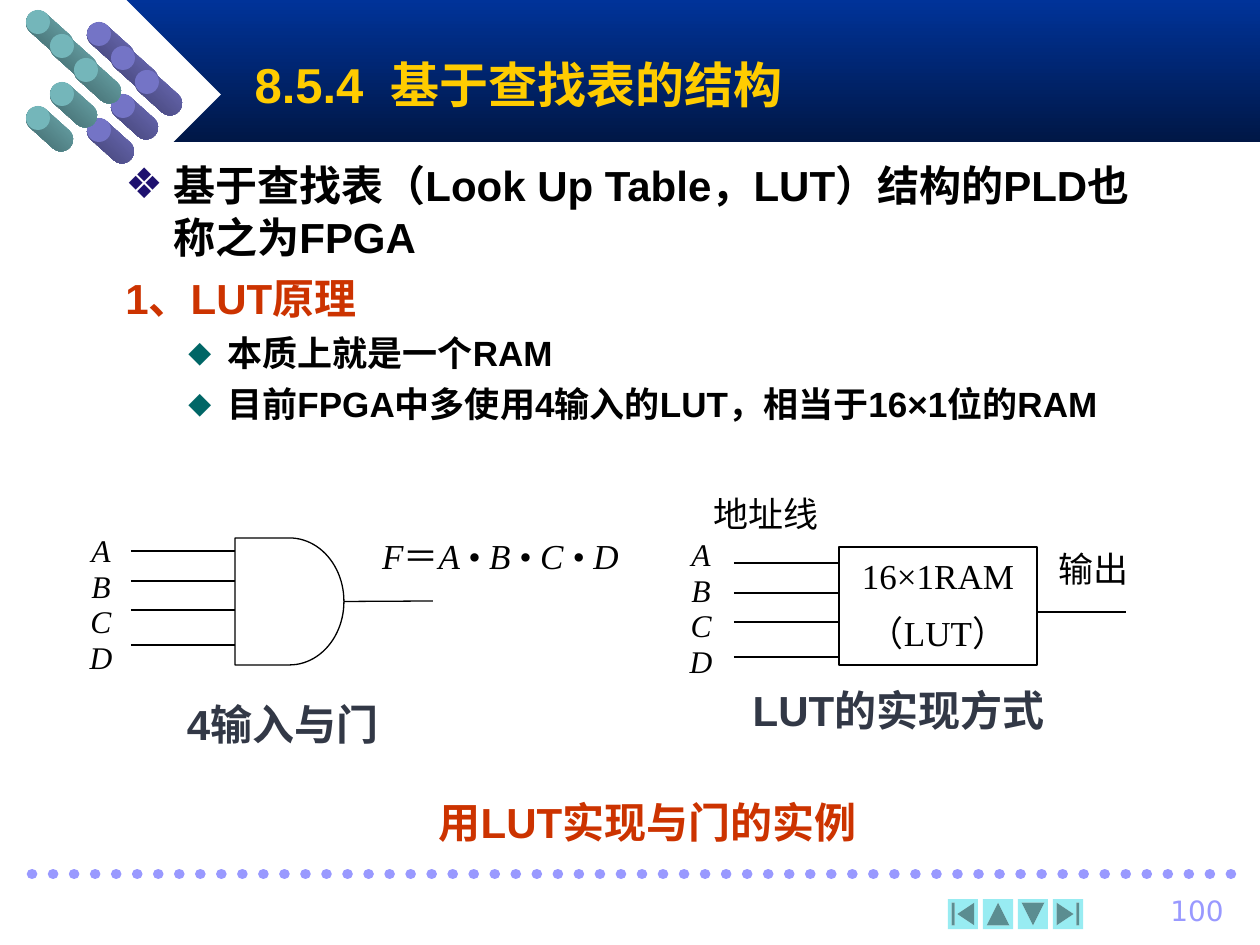
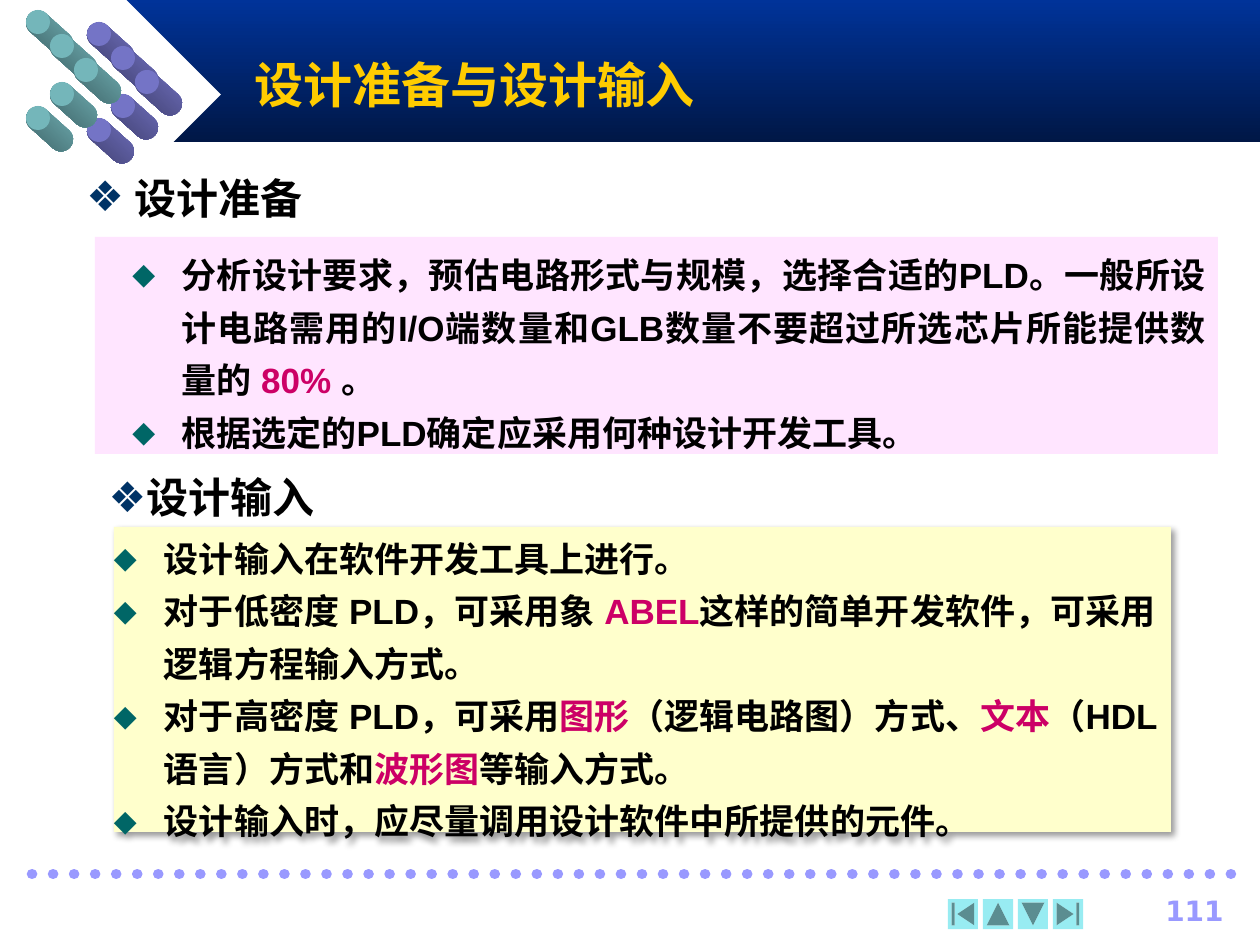
from dataclasses import dataclass, field
from typing import Any, Optional

import pptx
import pptx.dml.color
import pptx.enum.dml
import pptx.enum.shapes
import pptx.enum.text
import pptx.oxml
import pptx.oxml.ns
import pptx.util
from lxml import etree

RGB = pptx.dml.color.RGBColor
SHAPE = pptx.enum.shapes.MSO_SHAPE
ALIGN = pptx.enum.text.PP_ALIGN
ANCHOR = pptx.enum.text.MSO_ANCHOR
qn = pptx.oxml.ns.qn

EMU_PER_PX = 914400 / 126
WHITE = RGB(0xFF, 0xFF, 0xFF)
BLACK = RGB(0, 0, 0)
BAND_TOP = RGB(0x00, 0x33, 0x99)
BAND_BOTTOM = RGB(0x00, 0x17, 0x46)
GOLD = RGB(0xFF, 0xCC, 0x00)
LILAC = RGB(0x99, 0x99, 0xFF)
AQUA = RGB(0x98, 0xEC, 0xF2)
TEAL_FACE = RGB(0x74, 0xB6, 0xBA)
TEAL_SHADE = RGB(0x3A, 0x5C, 0x60)
VIOLET_FACE = RGB(0x74, 0x74, 0xC6)
VIOLET_SHADE = RGB(0x3C, 0x3C, 0x68)
INDIGO = RGB(0x1E, 0x11, 0x6F)
NAVY = RGB(0x00, 0x33, 0x66)
GREEN = RGB(0x00, 0x66, 0x66)
RUST = RGB(0xCC, 0x33, 0x00)
MAGENTA = RGB(0xCC, 0x00, 0x66)
SLATE = RGB(0x32, 0x38, 0x46)
PINK = RGB(0xFF, 0xE5, 0xFF)
CREAM = RGB(0xFF, 0xFF, 0xCC)
SANS, SERIF, SYMBOL = "Arial", "Times New Roman", "DejaVu Sans"


@dataclass(frozen=True)
class Bullet:
    char: str
    color: RGB
    percent: int = 100


@dataclass(frozen=True)
class Run:
    text: str
    look: dict[str, Any] = field(default_factory=dict)


@dataclass(frozen=True)
class Para:
    runs: list[Run]
    look: dict[str, Any]
    align: Any = ALIGN.LEFT
    spacing: float = 1.0
    before: int = 0
    margin: int = 0
    hanging: int = 0
    bullet: Optional[Bullet] = None


@dataclass(frozen=True)
class Frame:
    left: int
    top: int
    width: int
    height: int

    def emu(self) -> list[int]:
        return [px(v) for v in (self.left, self.top, self.width, self.height)]


@dataclass(frozen=True)
class Pegs:
    face: RGB
    shade: RGB
    left: int
    top: int


@dataclass(frozen=True)
class Label:
    frame: Frame
    runs: list[Run]
    look: dict[str, Any]


def px(value: float) -> int:
    return round(value * EMU_PER_PX)


def apply(target: Any, values: dict[str, Any]) -> None:
    for name, value in values.items():
        setattr(target, name, value)


def look(size: int, color: RGB = BLACK, name: str = SANS, **extra: Any) -> dict[str, Any]:
    return {"size": pptx.util.Pt(size), "name": name, "color": color, **extra}


def child(parent: Any, tag: str, **attributes: Any) -> Any:
    node = etree.SubElement(parent, qn(tag))
    for name, value in attributes.items():
        node.set(name, str(value))
    return node


def write_run(paragraph: Any, text: str, values: dict[str, Any]) -> None:
    run = paragraph.add_run()
    run.text = text
    run.font.color.rgb = values["color"]
    apply(run.font, {k: v for k, v in values.items() if k != "color"})
    properties = run._r.get_or_add_rPr()
    properties.set("lang", "zh-CN")
    child(properties, "a:ea", typeface=SANS)


def write(holder: Any, paras: list[Para], inset: Optional[int] = None, anchor: Any = ANCHOR.TOP) -> None:
    frame = holder.text_frame
    apply(frame, {"word_wrap": True, "vertical_anchor": anchor})
    if inset is not None:
        sides = ("left", "top", "right", "bottom")
        apply(frame, {f"margin_{side}": px(inset) for side in sides})
    for index, para in enumerate(paras):
        paragraph = frame.add_paragraph() if index else frame.paragraphs[0]
        properties = paragraph._p.get_or_add_pPr()
        properties.set("marL", str(px(para.margin)))
        properties.set("indent", str(-px(para.hanging)))
        if para.bullet:
            child(child(properties, "a:buClr"), "a:srgbClr", val=para.bullet.color)
            child(properties, "a:buSzPct", val=para.bullet.percent * 1000)
            child(properties, "a:buFont", typeface=SYMBOL)
            child(properties, "a:buChar", char=para.bullet.char)
        else:
            child(properties, "a:buNone")
        apply(paragraph, {
            "alignment": para.align,
            "line_spacing": para.spacing,
            "space_before": pptx.util.Pt(para.before if index else 0),
        })
        for run in para.runs:
            write_run(paragraph, run.text, {**para.look, **run.look})


def add_text(slide: Any, frame: Frame, paras: list[Para], inset: Optional[int] = None) -> None:
    write(slide.shapes.add_textbox(*frame.emu()), paras, inset)


def add_block(slide: Any, kind: Any, frame: Frame, fill: Optional[RGB] = None, outline: Optional[RGB] = None) -> Any:
    block = slide.shapes.add_shape(kind, *frame.emu())
    block.shadow.inherit = False
    if fill is None:
        block.fill.background()
    else:
        block.fill.solid()
        block.fill.fore_color.rgb = fill
    if outline is None:
        block.line.fill.background()
    else:
        block.line.color.rgb = outline
        block.line.width = pptx.util.Pt(0.75)
    return block


def add_gradient(block: Any, start: RGB, end: RGB) -> None:
    block.fill.gradient()
    block.fill.gradient_angle = 270
    for stop, color, position in zip(block.fill.gradient_stops, (start, end), (0, 1)):
        stop.color.rgb = color
        stop.position = position


def add_wire(slide: Any, x1: int, y1: int, x2: int, y2: int, color: RGB = BLACK, width: float = 0.75) -> Any:
    wire = slide.shapes.add_connector(pptx.enum.shapes.MSO_CONNECTOR.STRAIGHT, *map(px, (x1, y1, x2, y2)))
    wire.line.color.rgb = color
    wire.line.width = pptx.util.Pt(width)
    child(wire._element.spPr, "a:effectLst")
    return wire


def draw_pegs(slide: Any, pegs: Pegs) -> None:
    step, size = 24, 24
    for row, column in enumerate((0, 1, 2, 1, 0)):
        left, top = pegs.left + column * step, pegs.top + row * step
        body = add_block(slide, SHAPE.ROUNDED_RECTANGLE, Frame(left - 4, top + 11, 55, size), pegs.face)
        body.adjustments[0] = 0.5
        body.rotation = 42
        add_gradient(body, pegs.face, pegs.shade)
        add_block(slide, SHAPE.OVAL, Frame(left, top, size, size), pegs.face)


def start_slide(deck: Any, heading: str, page: str, page_bold: bool) -> Any:
    slide = deck.slides.add_slide(deck.slide_layouts[5])
    band = add_block(slide, SHAPE.RECTANGLE, Frame(126, 0, 1134, 142), BAND_TOP)
    add_gradient(band, BAND_TOP, BAND_BOTTOM)
    add_block(slide, SHAPE.DIAMOND, Frame(32, 0, 189, 189), WHITE)
    for pegs in (Pegs(VIOLET_FACE, VIOLET_SHADE, 87, 22), Pegs(TEAL_FACE, TEAL_SHADE, 26, 10)):
        draw_pegs(slide, pegs)

    dots = add_wire(slide, 32, 874, 1239, 874, LILAC, 6)
    dots.line.dash_style = pptx.enum.dml.MSO_LINE.ROUND_DOT
    dots.line._ln.set("cap", "rnd")

    buttons = (
        (SHAPE.ACTION_BUTTON_BEGINNING, 0),
        (SHAPE.ACTION_BUTTON_BACK_OR_PREVIOUS, 90),
        (SHAPE.ACTION_BUTTON_FORWARD_OR_NEXT, 90),
        (SHAPE.ACTION_BUTTON_END, 0),
    )
    for index, (kind, turn) in enumerate(buttons):
        add_block(slide, kind, Frame(948 + index * 35, 899, 30, 30), AQUA).rotation = turn

    title = slide.shapes.title
    title.element.getparent().append(title.element)
    apply(title, dict(zip(("left", "top", "width", "height"), Frame(242, 42, 945, 84).emu())))
    write(title, [Para([Run(heading)], look(28, GOLD, bold=True))], anchor=ANCHOR.MIDDLE)
    add_text(slide, Frame(1116, 887, 120, 42),
             [Para([Run(page)], look(16, LILAC, SYMBOL, bold=page_bold), ALIGN.RIGHT)])
    return slide


def draw_inputs(slide: Any, frame: Frame, wire_left: int, wire_right: int, levels: tuple[int, ...]) -> None:
    names = [Para([Run(name)], look(18, BLACK, SERIF, italic=True), ALIGN.CENTER, 0.94) for name in "ABCD"]
    add_text(slide, frame, names)
    for level in levels:
        add_wire(slide, wire_left, level, wire_right, level)


def build_lut(deck: Any) -> None:
    slide = start_slide(deck, "8.5.4  基于查找表的结构", "100", False)
    main, sub = look(24, bold=True), look(20, bold=True)
    diamond = Bullet("◆", GREEN, 85)
    add_text(slide, Frame(113, 151, 1061, 310), [
        Para([Run("基于查找表（Look Up Table，LUT）结构的PLD也称之为FPGA")], main,
             spacing=1.04, margin=48, hanging=48, bullet=Bullet("❖", INDIGO)),
        Para([Run("1、LUT原理", {"color": RUST})], main, spacing=1.04, before=5, margin=48, hanging=48),
        *(Para([Run(text)], sub, spacing=1.04, before=4, margin=102, hanging=39, bullet=diamond)
          for text in ("本质上就是一个RAM", "目前FPGA中多使用4输入的LUT，相当于16×1位的RAM")),
    ])

    gate = add_block(slide, SHAPE.FLOWCHART_DELAY, Frame(235, 538, 109, 127), outline=BLACK)
    add_wire(slide, 344, 601, 433, 601).begin_connect(gate, 3)
    draw_inputs(slide, Frame(63, 528, 76, 183), 131, 235, (551, 581, 610, 645))

    table = add_block(slide, SHAPE.RECTANGLE, Frame(839, 547, 198, 118), outline=BLACK)
    value = look(20, BLACK, SERIF)
    write(table, [Para([Run(text)], value, ALIGN.CENTER, 0.93, 10) for text in ("16×1RAM", "（LUT）")],
          anchor=ANCHOR.MIDDLE)
    add_wire(slide, 1037, 612, 1126, 612)
    draw_inputs(slide, Frame(646, 532, 110, 183), 734, 839, (563, 593, 622, 657))

    caption = look(24, SLATE, bold=True)
    formula = [Run("F"), Run("＝", {"italic": False}), Run("A • B • C • D")]
    labels = (
        Label(Frame(355, 532, 291, 54), formula, look(20, BLACK, SERIF, italic=True)),
        Label(Frame(688, 490, 157, 55), [Run("地址线")], value),
        Label(Frame(1015, 545, 157, 55), [Run("输出")], value),
        Label(Frame(30, 697, 505, 59), [Run("4输入与门")], caption),
        Label(Frame(646, 683, 505, 58), [Run("LUT的实现方式")], caption),
        Label(Frame(372, 795, 551, 58), [Run("用LUT实现与门的实例")], look(24, RUST, bold=True)),
    )
    for label in labels:
        add_text(slide, label.frame, [Para(label.runs, label.look, ALIGN.CENTER, 0.93)])


def build_design(deck: Any) -> None:
    slide = start_slide(deck, "设计准备与设计输入", "111", True)
    heading, body = look(24, BLACK, SERIF, bold=True), look(20, bold=True)
    diamond, flower = Bullet("◆", GREEN, 85), Bullet("❖", NAVY)
    accent, serif = {"color": MAGENTA}, {"name": SERIF}

    preparation = [
        [Run("分析设计要求，预估电路形式与规模，选择合适的PLD。一般所设计电路需用的I/O端数量和GLB数量"
             "不要超过所选芯片所能提供数量的 "), Run("80% ", accent), Run("。")],
        [Run("根据选定", serif), Run("的PLD确定"), Run("应采用何种设计开发工具。", serif)],
    ]
    entry = [
        [Run("设计输入在软件开发工具上进行。")],
        [Run("对于低密度 PLD，可采用象 "), Run("ABEL", accent),
         Run("这样的简单开发软件，可采用逻辑方程输入方式。")],
        [Run("对于高密度 PLD，可采用"), Run("图形", accent), Run("（逻辑电路图）方式、"),
         Run("文本", accent), Run("（HDL 语言）方式和"), Run("波形图", accent), Run("等输入方式。")],
        [Run("设计输入时，应尽量调用设计软件中所提供的元件。")],
    ]
    add_text(slide, Frame(74, 164, 252, 55),
             [Para([Run("设计准备")], heading, spacing=1.04, margin=48, hanging=48, bullet=flower)])
    add_text(slide, Frame(69, 476, 285, 47),
             [Para([Run("设计输入")], heading, ALIGN.CENTER, 0.93, bullet=flower)], 0)

    preparation_panel = add_block(slide, SHAPE.RECTANGLE, Frame(95, 237, 1123, 217), PINK)
    write(preparation_panel, [Para(runs, body, ALIGN.JUSTIFY, 1.25, 0, 74, 49, diamond) for runs in preparation])

    entry_panel = add_block(slide, SHAPE.RECTANGLE, Frame(114, 527, 1057, 305), CREAM)
    write(entry_panel, [Para(runs, body, ALIGN.LEFT, 1.25, 0, 50, 50, diamond) for runs in entry], 0)
    effects = entry_panel._element.spPr.find(qn("a:effectLst"))
    shadow = child(effects, "a:outerShdw", blurRad=pptx.util.Pt(4), dist=pptx.util.Pt(3), dir=2700000)
    child(child(shadow, "a:srgbClr", val=BLACK), "a:alpha", val=40000)


def main() -> None:
    deck = pptx.Presentation()
    apply(deck, {"slide_width": px(1260), "slide_height": px(945)})
    build_lut(deck)
    build_design(deck)
    deck.save("out.pptx")


if __name__ == "__main__":
    main()
